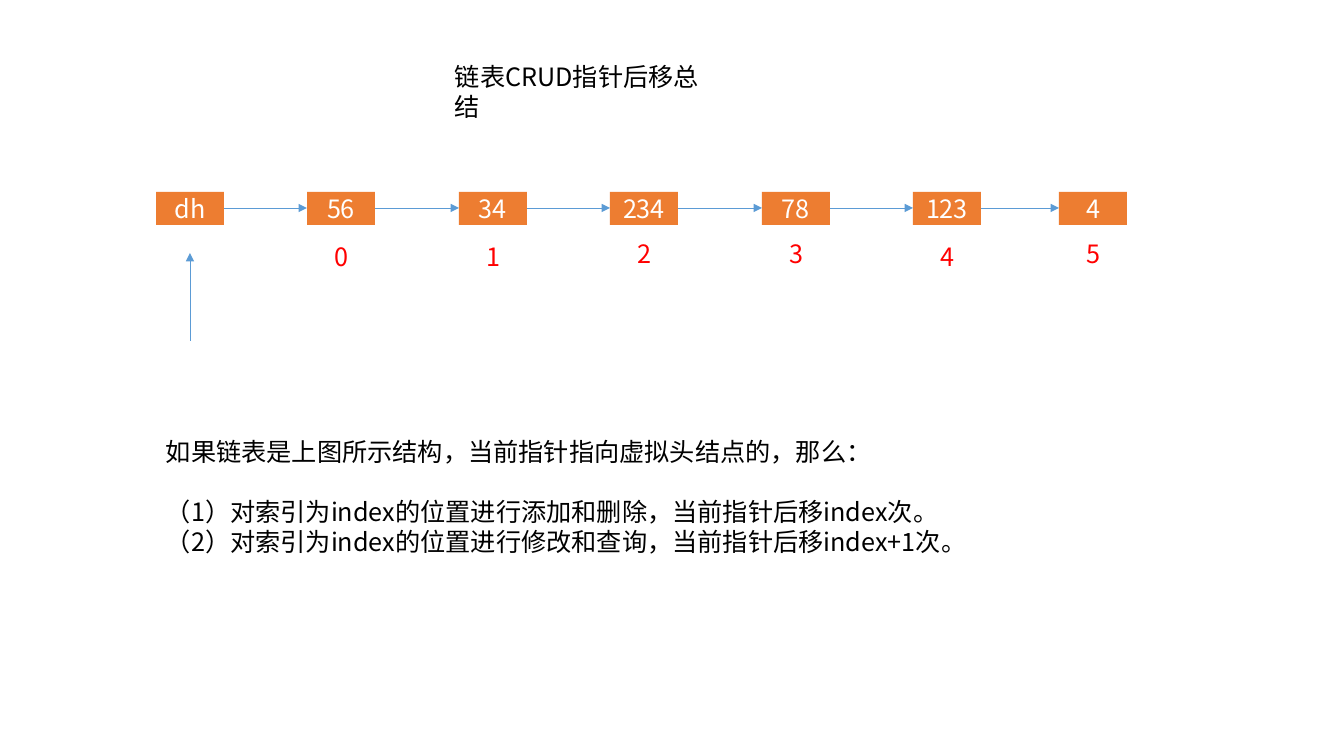
from dataclasses import dataclass

from lxml import etree
from pptx import Presentation
from pptx.dml.color import RGBColor
from pptx.enum.shapes import MSO_CONNECTOR, MSO_SHAPE
from pptx.enum.text import MSO_ANCHOR, PP_ALIGN
from pptx.oxml.ns import qn
from pptx.util import Emu, Pt

RECT = MSO_SHAPE.RECTANGLE
LINE = MSO_CONNECTOR.STRAIGHT
LEFT, CENTER = PP_ALIGN.LEFT, PP_ALIGN.CENTER
MIDDLE = MSO_ANCHOR.MIDDLE

# Content
TITLE = "链表CRUD指针后移总结"
NODES = ["dh", "56", "34", "234", "78", "123", "4"]
MARKS = [("0", 236), ("1", 236), ("2", 233), ("3", 233), ("4", 236), ("5", 233)]
NOTES = [
    "如果链表是上图所示结构，当前指针指向虚拟头结点的，那么：",
    "（1）对索引为index的位置进行添加和删除，当前指针后移index次。",
    "（2）对索引为index的位置进行修改和查询，当前指针后移index+1次。",
]


@dataclass(frozen=True)
class Theme:
    font: str = "Noto Sans CJK SC"
    size: float = 18
    pitch: float = 21.6
    line: float = 0.5
    ink: str = "000000"
    node: str = "ED7D31"
    label: str = "FFFFFF"
    mark: str = "FF0000"
    arrow: str = "5B9BD5"


THEME = Theme()

# Layout in px
WIDE, HIGH = 1344, 756
SCALE = 914400 / 100.8
NODE_W, NODE_H, NODE_Y = 68, 33, 192
MARK_W, MARK_H = 34, 40
FIRST, STEP, LAST = 156, 151.4, 1059


def px(n):
    return Emu(round(n * SCALE))


def color(code):
    return RGBColor.from_string(code)


def write(frame, lines, ink, align=LEFT):
    frame.word_wrap = True
    for i, line in enumerate(lines):
        para = frame.add_paragraph() if i else frame.paragraphs[0]
        para.text = line
        para.alignment = align
        para.line_spacing = Pt(THEME.pitch)
        font = para.font
        font.size = Pt(THEME.size)
        font.color.rgb = color(ink)
        font.name = THEME.font
        props = para._p.pPr.find(qn("a:defRPr"))
        etree.SubElement(props, qn("a:ea"), typeface=THEME.font)


def add_text(slide, box, lines, ink, align=LEFT):
    frame = slide.shapes.add_textbox(*map(px, box)).text_frame
    write(frame, lines, ink, align)
    return frame


def add_node(slide, x, text):
    shape = slide.shapes.add_shape(RECT, *map(px, (x, NODE_Y, NODE_W, NODE_H)))
    shape.shadow.inherit = False
    shape.fill.solid()
    shape.fill.fore_color.rgb = color(THEME.node)
    shape.line.fill.background()
    shape.text_frame.vertical_anchor = MIDDLE
    write(shape.text_frame, [text], THEME.label, CENTER)


def add_arrow(slide, *ends):
    arrow = slide.shapes.add_connector(LINE, *map(px, ends))
    arrow.line.width = Pt(THEME.line)
    arrow.line.color.rgb = color(THEME.arrow)
    props = arrow._element.spPr
    etree.SubElement(props.find(qn("a:ln")), qn("a:tailEnd"), type="triangle")
    etree.SubElement(props, qn("a:effectLst"))


def main():
    deck = Presentation()
    deck.slide_width, deck.slide_height = px(WIDE), px(HIGH)
    slide = deck.slides.add_slide(deck.slide_layouts[6])

    # Title and notes
    add_text(slide, (445, 56, 288, 40), [TITLE], THEME.ink)
    notes = add_text(slide, (156, 431, 817, 132), NOTES, THEME.ink)
    notes.paragraphs[1].space_before = Pt(THEME.pitch)

    # Linked nodes
    lefts = [FIRST + round(STEP * i) for i in range(len(NODES) - 1)] + [LAST]
    for x, text in zip(lefts, NODES):
        add_node(slide, x, text)
    mid = NODE_Y + NODE_H // 2
    for x, after in zip(lefts, lefts[1:]):
        add_arrow(slide, x + NODE_W, mid, after, mid)

    # Index marks
    for x, (text, y) in zip(lefts[1:], MARKS):
        box = (x + (NODE_W - MARK_W) // 2, y, MARK_W, MARK_H)
        add_text(slide, box, [text], THEME.mark, CENTER)

    # Current pointer
    head = FIRST + NODE_W // 2
    add_arrow(slide, head, 341, head, 253)

    deck.save("out.pptx")


if __name__ == "__main__":
    main()
